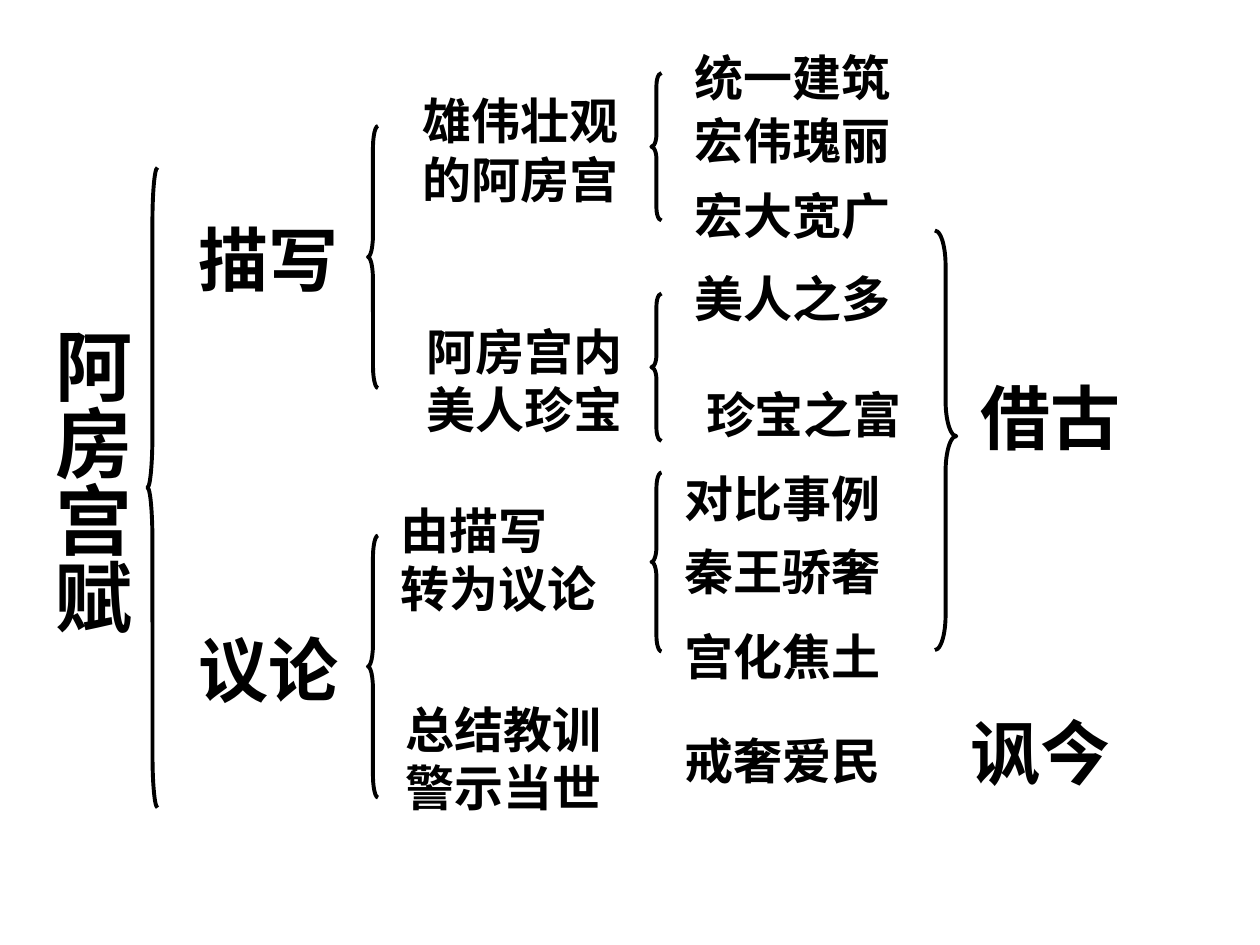
"""Build the structure diagram of 阿房宫赋 with nested braces."""
from dataclasses import dataclass

from pptx import Presentation
from pptx.dml.color import RGBColor
from pptx.enum.lang import MSO_LANGUAGE_ID
from pptx.enum.shapes import MSO_SHAPE
from pptx.enum.text import PP_ALIGN
from pptx.util import Inches, Pt

LEFT_BRACE = MSO_SHAPE.LEFT_BRACE
RIGHT_BRACE = MSO_SHAPE.RIGHT_BRACE
CENTER = PP_ALIGN.CENTER
LEFT = PP_ALIGN.LEFT
CHINESE = MSO_LANGUAGE_ID.SIMPLIFIED_CHINESE

COLORS = {"ink": "000000", "background": "FFFFFF"}
MARGINS = {"margin_left": 0.1, "margin_right": 0.1, "margin_top": 0.05, "margin_bottom": 0.05}
TITLE_MARGINS = {"margin_left": 0.05, "margin_right": 0.05, "margin_top": 0.1, "margin_bottom": 0.1}
BRACE_WIDTH = 0.08
CURVE_SHARE = 1 / 12


@dataclass(frozen=True)
class Label:
    text: str
    left: float
    top: float
    width: float = 1.92
    height: float = 0.57
    size: int = 28
    font: str = "Times New Roman"
    align: PP_ALIGN = CENTER
    indent: float = 0
    vertical: bool = False


@dataclass(frozen=True)
class Brace:
    left: float
    top: float
    height: float
    width: float = BRACE_WIDTH
    kind: MSO_SHAPE = LEFT_BRACE
    middle: float = 0.5


TITLE = Label("阿房宫赋", -0.91, 2.5, 2.05, 2.68, 44, "Arial", LEFT, vertical=True)
HEADINGS = [
    Label(text, left, top, width, 0.77, 40)
    for text, left, top, width in (
        ("描写", 1.17, 1.67, 1.92),
        ("议论", 1.17, 4.92, 1.92),
        ("借古", 7.5, 2.92, 1.67),
        ("讽今", 7.42, 5.58, 1.67),
    )
]
TOPICS = [
    Label("雄伟壮观的阿房宫", 3.17, 0.67, height=1.04),
    Label("阿房宫内美人珍宝", 3.25, 2.5, 1.83, 1.04),
    Label("由描写\v转为议论", 3, 3.92, height=1.5, align=LEFT, indent=0.08),
    Label("总结教训警示当世", 3.08, 5.5, 1.83, 1.04),
]
DETAILS = [
    Label(text, left, top)
    for left, rows in (
        (5.33, (("统一建筑", 0.33), ("宏伟瑰丽", 0.83), ("宏大宽广", 1.42), ("美人之多", 2.08))),
        (5.42, (("珍宝之富", 3),)),
        (5.25, (("对比事例", 3.67), ("秦王骄奢", 4.25), ("宫化焦土", 4.92), ("戒奢爱民", 5.75))),
    )
    for text, top in rows
]
BRACES = [
    Brace(1.17, 1.33, 5.08),
    Brace(2.92, 1, 2.08),
    Brace(2.92, 4.25, 2.08),
    Brace(5.17, 0.58, 1.17),
    Brace(5.17, 2.33, 1.17),
    Brace(5.17, 3.75, 1.42),
    Brace(7.42, 1.83, 3.33, 0.17, RIGHT_BRACE, 0.49),
]


def color(name: str) -> RGBColor:
    """Return a named colour."""
    return RGBColor.from_string(COLORS[name])


def draw_label(slide, label: Label) -> None:
    """Draw one bold text label."""
    box = [Inches(value) for value in (label.left, label.top, label.width, label.height)]
    frame = slide.shapes.add_textbox(*box).text_frame
    frame.word_wrap = True
    for name, value in (TITLE_MARGINS if label.vertical else MARGINS).items():
        setattr(frame, name, Inches(value))
    frame.margin_left += Inches(label.indent)
    if label.vertical:
        frame._txBody.bodyPr.set("vert", "eaVert")
    paragraph = frame.paragraphs[0]
    paragraph.text = label.text
    paragraph.alignment = label.align
    formats = {"name": label.font, "size": Pt(label.size), "bold": True, "language_id": CHINESE}
    for run in paragraph.runs:
        for name, value in formats.items():
            setattr(run.font, name, value)
        run.font.color.rgb = color("ink")


def draw_brace(slide, brace: Brace) -> None:
    """Draw one brace whose curves keep a fixed share of its height."""
    box = [Inches(value) for value in (brace.left, brace.top, brace.width, brace.height)]
    shape = slide.shapes.add_shape(brace.kind, *box)
    shape.adjustments[0] = brace.height * CURVE_SHARE / brace.width
    shape.adjustments[1] = brace.middle
    shape.shadow.inherit = False
    shape.fill.background()
    shape.line.color.rgb = color("ink")
    shape.line.width = Pt(2.25)


def main() -> None:
    """Create and save the presentation."""
    presentation = Presentation()
    presentation.slide_width = Inches(10)
    presentation.slide_height = Inches(7.5)
    slide = presentation.slides.add_slide(presentation.slide_layouts[6])
    slide.background.fill.solid()
    slide.background.fill.fore_color.rgb = color("background")
    for label in [TITLE, *HEADINGS, *TOPICS, *DETAILS]:
        draw_label(slide, label)
    for brace in BRACES:
        draw_brace(slide, brace)
    presentation.save("out.pptx")


if __name__ == "__main__":
    main()
